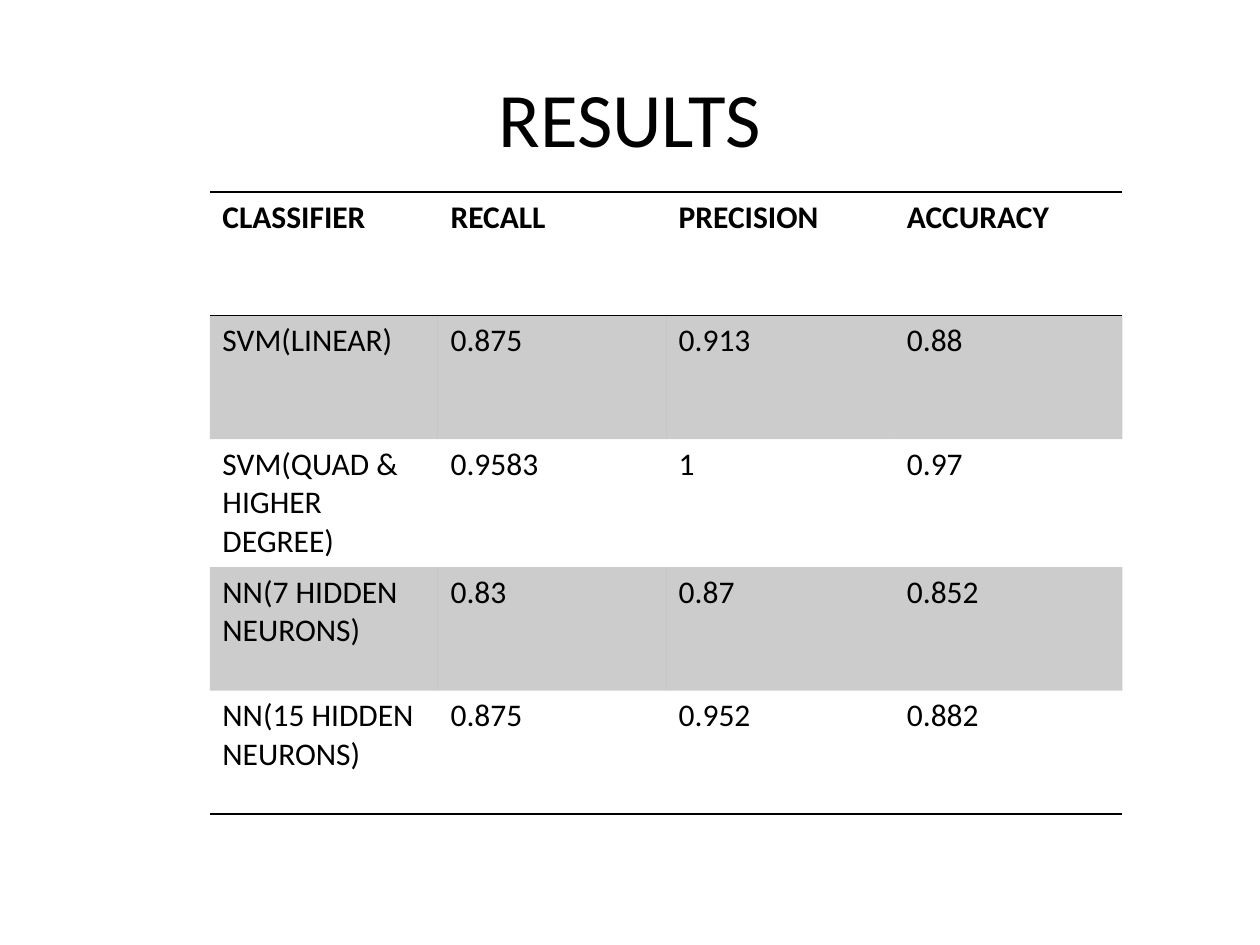
from lxml.etree import SubElement
from pptx import Presentation
from pptx.dml.color import RGBColor
from pptx.enum.text import MSO_ANCHOR, PP_ALIGN
from pptx.oxml import parse_xml
from pptx.oxml.ns import nsdecls, qn
from pptx.util import Cm, Pt

TITLE = "RESULTS"
RESULTS = [
    ("CLASSIFIER", "RECALL", "PRECISION", "ACCURACY"),
    ("SVM(LINEAR)", "0.875", "0.913", "0.88"),
    ("SVM(QUAD & HIGHER DEGREE)", "0.9583", "1", "0.97"),
    ("NN(7 HIDDEN NEURONS)", "0.83", "0.87", "0.852"),
    ("NN(15 HIDDEN\nNEURONS)", "0.875", "0.952", "0.882"),
]
INK = "000000"
BAND_OPACITY = 20
COLUMN_WIDTH, ROW_HEIGHT = 4.6, 2.49
PLAIN_TABLE_STYLE = "{2D5ABB26-0587-4C30-8999-92F81FD0307C}"
TITLE_FONT = {"name": "Calibri", "size": Pt(44), "bold": False}
HEADER_FONT = {"name": "Calibri", "size": Pt(18), "bold": True}
BODY_FONT = {**HEADER_FONT, "bold": False}


def colour(target, hex_value):
    target.rgb = RGBColor.from_string(hex_value)


def style_text(text_frame, font_format):
    for paragraph in text_frame.paragraphs:
        for run in paragraph.runs:
            for attribute, value in font_format.items():
                setattr(run.font, attribute, value)
            colour(run.font.color, INK)


def add_rule(cell, edge):
    """Draw a 1 pt border on an edge, given as "T" or "B"."""
    rule = parse_xml(
        f'<a:ln{edge} {nsdecls("a")} w="{Pt(1)}"><a:solidFill>'
        f'<a:srgbClr val="{INK}"/></a:solidFill></a:ln{edge}>'
    )
    cell._tc.get_or_add_tcPr().insert(0, rule)


def shade(cell):
    cell.fill.solid()
    colour(cell.fill.fore_color, INK)
    ink = cell._tc.tcPr.find(".//" + qn("a:srgbClr"))
    SubElement(ink, qn("a:alpha"), val=str(BAND_OPACITY * 1000))


def add_title(slide):
    title = slide.shapes.title
    place = {"left": 1.27, "top": 0.76, "width": 22.86, "height": 3.18}
    for attribute, length in place.items():
        setattr(title, attribute, Cm(length))
    title.text_frame.text = TITLE
    title.text_frame.vertical_anchor = MSO_ANCHOR.MIDDLE
    title.text_frame.paragraphs[0].alignment = PP_ALIGN.CENTER
    style_text(title.text_frame, TITLE_FONT)


def add_results(slide):
    row_count, column_count = len(RESULTS), len(RESULTS[0])
    table = slide.shapes.add_table(
        row_count, column_count, Cm(4.23), Cm(3.87),
        Cm(COLUMN_WIDTH * column_count), Cm(ROW_HEIGHT * row_count),
    ).table
    table._tbl.tblPr.find(qn("a:tableStyleId")).text = PLAIN_TABLE_STYLE

    for row_index, entries in enumerate(RESULTS):
        is_header = row_index == 0
        for column_index, entry in enumerate(entries):
            cell = table.cell(row_index, column_index)
            cell.text = entry
            style_text(cell.text_frame, HEADER_FONT if is_header else BODY_FONT)
            if row_index % 2:
                shade(cell)
            else:
                cell.fill.background()
            if is_header or row_index == row_count - 1:
                add_rule(cell, "B")
            if is_header:
                add_rule(cell, "T")


def main():
    presentation = Presentation()
    presentation.slide_width, presentation.slide_height = Cm(25.4), Cm(19.05)
    slide = presentation.slides.add_slide(presentation.slide_layouts[5])
    add_title(slide)
    add_results(slide)
    presentation.save("out.pptx")


if __name__ == "__main__":
    main()
